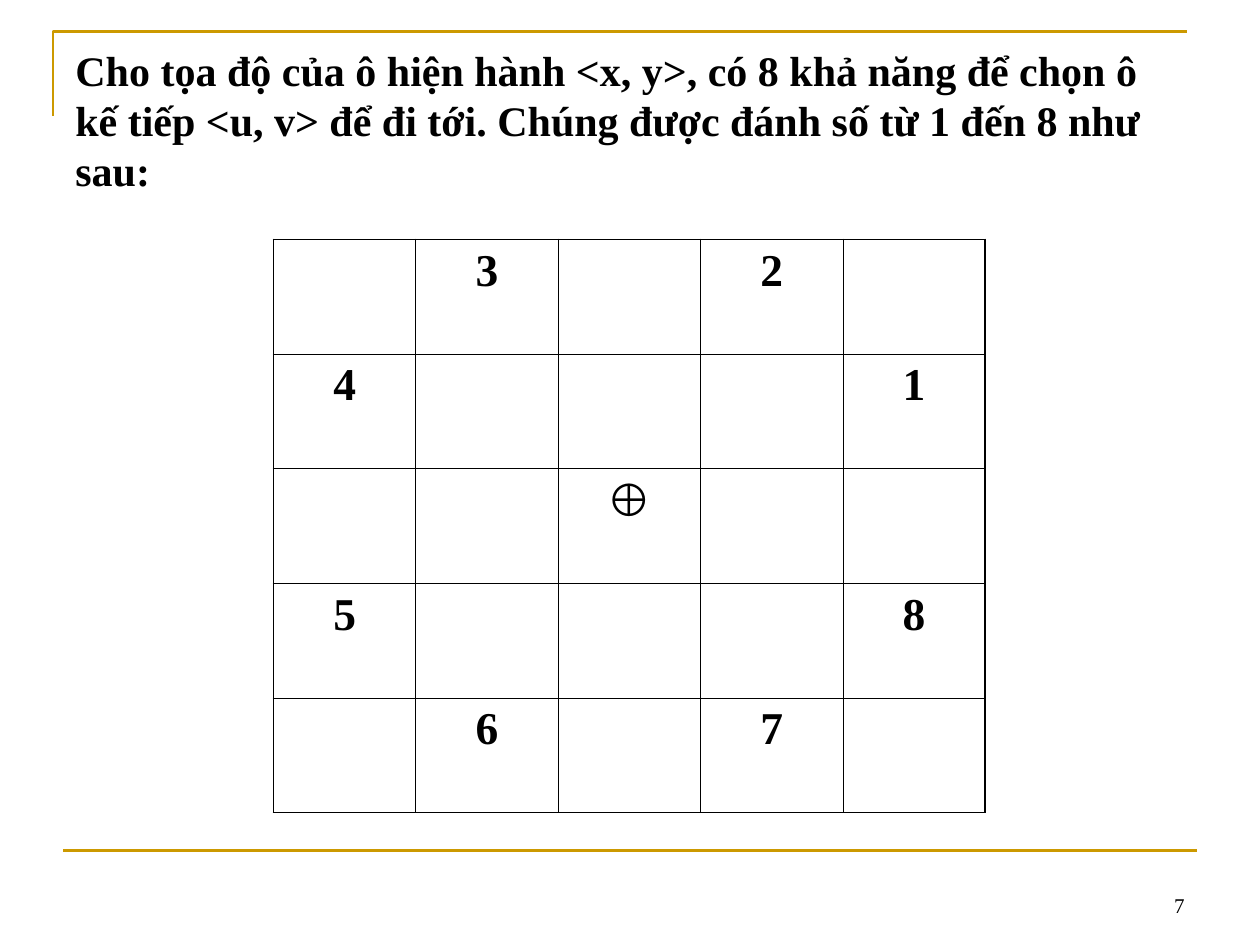
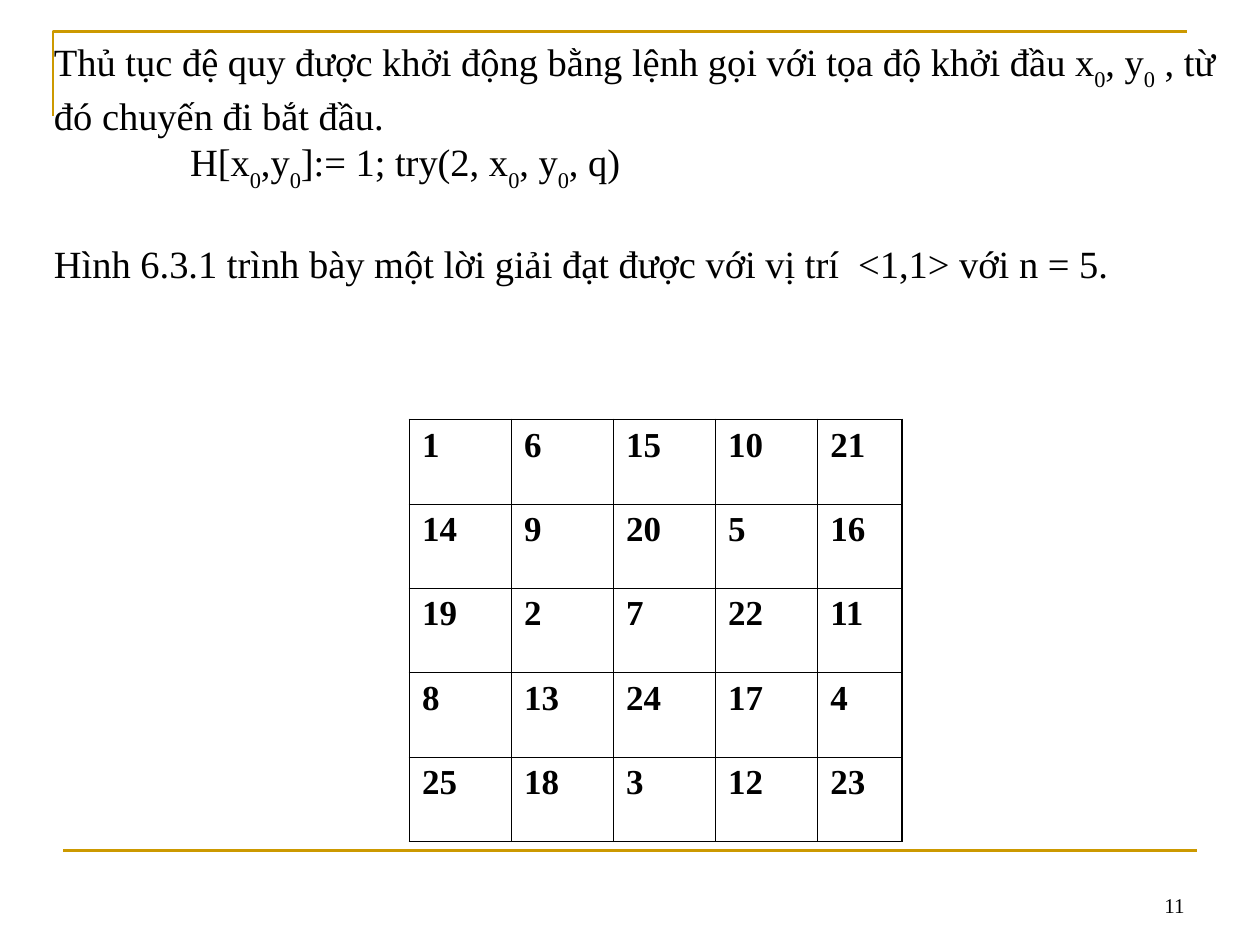
"""Build two slides on the knight's tour: move numbering and a solved board."""
import lxml.etree
import pptx
import pptx.dml.color
import pptx.enum.shapes
import pptx.enum.text
import pptx.oxml.ns
import pptx.util

Inches = pptx.util.Inches
Pt = pptx.util.Pt
ALIGN = pptx.enum.text.PP_ALIGN
ANCHOR = pptx.enum.text.MSO_ANCHOR
COLORS = {"text": "000000", "gold": "CC9900"}
SERIF = "Times New Roman"
THICK, THIN = 1.08, 0.45

PROMPT = ("Cho tọa độ của ô hiện hành <x, y>, có 8 khả năng để chọn ô kế tiếp "
          "<u, v> để đi tới. Chúng được đánh số từ 1 đến 8 như sau:")
MOVES = [
    ["", "3", "", "2", ""],
    ["4", "", "", "", "1"],
    ["", "", "⊕", "", ""],
    ["5", "", "", "", "8"],
    ["", "6", "", "7", ""],
]
START = ("Thủ tục đệ quy được khởi động bằng lệnh gọi với tọa độ khởi đầu "
         "x_0, y_0 , từ đó chuyến đi bắt đầu.")
CALL = "H[x_0,y_0]:= 1; try(2, x_0, y_0, q)"
RESULT = "Hình 6.3.1 trình bày một lời giải đạt được với vị trí  <1,1> với n = 5."
TOUR = [
    [1, 6, 15, 10, 21],
    [14, 9, 20, 5, 16],
    [19, 2, 7, 22, 11],
    [8, 13, 24, 17, 4],
    [25, 18, 3, 12, 23],
]


def paint(name):
    """Return the named colour."""
    return pptx.dml.color.RGBColor.from_string(COLORS[name])


def style(para, size, bold=False, face=SERIF):
    """Set the font of a whole paragraph."""
    font = para.font
    font.name, font.size, font.bold = face, Pt(size), bold
    font.color.rgb = paint("text")


def add_box(slide, left, top, width, height, anchor=ANCHOR.TOP):
    """Add a wrapping text box and return its text frame."""
    box = slide.shapes.add_textbox(
        Inches(left), Inches(top), Inches(width), Inches(height))
    frame = box.text_frame
    frame.word_wrap = True
    frame.vertical_anchor = anchor
    return frame


def write(para, text, size, bold=False):
    """Fill a paragraph, lowering each digit that follows an underscore."""
    first, *rest = text.split("_")
    para.add_run().text = first
    for part in rest:
        low = para.add_run()
        low.text = part[0]
        low.font._element.set("baseline", "-30000")
        para.add_run().text = part[1:]
    style(para, size, bold)


def add_frame(slide, number):
    """Draw the gold corner, the foot line and the page number."""
    left, top = Inches(0.42), Inches(0.25)
    path = slide.shapes.build_freeform(left, Inches(0.92))
    path.add_line_segments([(left, top), (Inches(9.42), top)], close=False)
    corner = path.convert_to_shape()
    corner.fill.background()
    corner.shadow.inherit = False
    foot = slide.shapes.add_connector(
        pptx.enum.shapes.MSO_CONNECTOR.STRAIGHT,
        Inches(0.5), Inches(6.75), Inches(9.5), Inches(6.75))
    for shape in (corner, foot):
        shape.line.color.rgb = paint("gold")
        shape.line.width = Pt(1.5)
    lxml.etree.SubElement(
        foot._element.spPr, pptx.oxml.ns.qn("a:effectLst"))
    para = add_box(slide, 7.17, 6.83, 2.33, 0.5, ANCHOR.BOTTOM).paragraphs[0]
    para.alignment = ALIGN.RIGHT
    write(para, str(number), 12)


def add_edge(cell, side, width):
    """Draw one border of a table cell."""
    qn = pptx.oxml.ns.qn
    line = lxml.etree.SubElement(
        cell._tc.get_or_add_tcPr(), qn("a:ln" + side), w=str(Pt(width)))
    fill = lxml.etree.SubElement(line, qn("a:solidFill"))
    lxml.etree.SubElement(fill, qn("a:srgbClr"), val=COLORS["text"])


def add_grid(slide, left, top, widths, height, rows, size, align):
    """Add a board with a thick rim, thin inner lines and bold values."""
    count = len(rows)
    last = count - 1
    table = slide.shapes.add_table(
        count, len(widths), Inches(left), Inches(top),
        Inches(sum(widths)), Inches(height * count)).table
    table.first_row = table.horz_banding = False
    for col, width in zip(table.columns, widths):
        col.width = Inches(width)
    for y, values in enumerate(rows):
        table.rows[y].height = Inches(height)
        for x, value in enumerate(values):
            cell = table.cell(y, x)
            rim = {"L": x == 0, "R": x == len(widths) - 1,
                   "T": y == 0, "B": y == last}
            for side, outer in rim.items():
                add_edge(cell, side, THICK if outer else THIN)
            cell.fill.background()
            cell.text = str(value)
            para = cell.text_frame.paragraphs[0]
            para.alignment = align
            style(para, size, True, "Arial" if value == "⊕" else SERIF)


def add_moves(slide):
    """Show the eight numbered moves."""
    add_frame(slide, 7)
    write(add_box(slide, 0.5, 0.3, 9, 1.25).paragraphs[0], PROMPT, 24, True)
    add_grid(slide, 2.17, 1.9, [1.13] * 5, 0.91, MOVES, 26, ALIGN.CENTER)


def add_tour(slide):
    """Show the first call and a solved board."""
    add_frame(slide, 11)
    frame = add_box(slide, 0.33, 0.25, 9.42, 2.33)
    write(frame.paragraphs[0], START, 22)
    call = frame.add_paragraph()
    write(call, CALL, 22)
    call._p.get_or_add_pPr().set("marL", str(Inches(1.08)))
    result = frame.add_paragraph()
    write(result, RESULT, 22)
    result.space_before = Pt(27)
    add_grid(slide, 3.25, 3.33, [0.81] * 4 + [0.67], 0.67, TOUR, 20, ALIGN.LEFT)


def main():
    """Build and save the deck."""
    deck = pptx.Presentation()
    deck.slide_width, deck.slide_height = Inches(10), Inches(7.5)
    for build in (add_moves, add_tour):
        build(deck.slides.add_slide(deck.slide_layouts[6]))
    deck.save("out.pptx")


if __name__ == "__main__":
    main()
